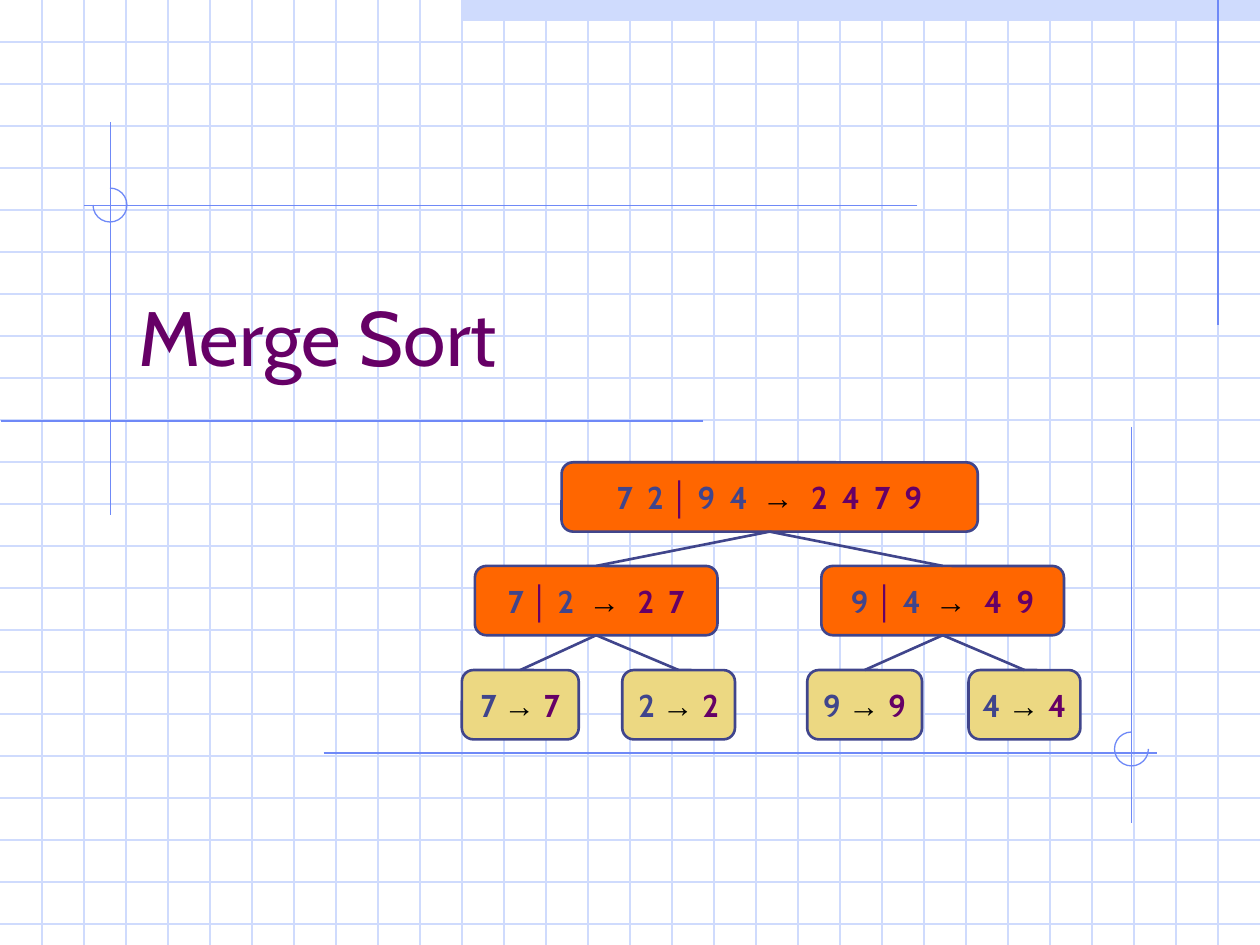
from lxml.etree import SubElement
from pptx import Presentation
from pptx.dml.color import RGBColor
from pptx.enum.shapes import MSO_CONNECTOR as CONN, MSO_SHAPE as SHAPE
from pptx.enum.text import MSO_ANCHOR as ANCHOR, PP_ALIGN as ALIGN
from pptx.oxml.ns import qn
from pptx.util import Pt

WIDTH, HEIGHT = 720, 540
GRID_STEP = 24
PALE, BLUE, SLATE = "CFDBFD", "6F89F7", "40458C"
PURPLE, ORANGE, SAND, BLACK = "660066", "FF6600", "ECD882", "000000"
NODE_HEIGHT = 39.6
LEVEL_TOPS = (264.2, 323.4, 382.9)

RULES = [
    (696, 0, 696, 186),
    (63.2, 70, 63.2, 294.5),
    (402, 240.5, 0.7, 240.5),
    (524.2, 117.4, 48, 117.4),
    (185, 430.3, 661, 430.3),
    (646.6, 244, 646.6, 470.3),
]
ARCS = [(53.2, 107.5, 270, 180), (636.9, 418.3, 0, 270)]
NODES = [
    (0, 320.9, 237.8, ORANGE, "7  2 │ 9  4  ", "→  ", "2  4  7  9"),
    (1, 271.4, 138.6, ORANGE, "7 │ 2  ", "→  ", "2  7"),
    (1, 469.4, 138.6, ORANGE, "9 │ 4  ", "→  ", "4  9"),
    (2, 263.9, 66.8, SAND, "7 ", "→ ", "7"),
    (2, 355.6, 64.4, SAND, "2 ", "→ ", "2"),
    (2, 461.3, 65.6, SAND, "9 ", "→ ", "9"),
    (2, 553.5, 63.9, SAND, "4 ", "→ ", "4"),
]


def rgb(value):
    """Return the colour for a hex string."""
    return RGBColor.from_string(value)


def set_format(obj, values):
    """Set each attribute named in a dict on an object."""
    for name, value in values.items():
        setattr(obj, name, value)


def set_line(line, color, width):
    """Give an outline its colour and width."""
    line.color.rgb = rgb(color)
    line.width = Pt(width)


def add_run(p, text, color, size, font="Cabin", bold=False):
    """Append a formatted run to a paragraph."""
    r = p.add_run()
    r.text = text
    set_format(r.font, {"name": font, "size": Pt(size), "bold": bold})
    r.font.color.rgb = rgb(color)


def add_line(slide, x1, y1, x2, y2, color, width=0.75):
    """Add a straight connector without a shadow."""
    line = slide.shapes.add_connector(CONN.STRAIGHT, Pt(x1), Pt(y1), Pt(x2), Pt(y2))
    set_line(line.line, color, width)
    SubElement(line._element.spPr, qn("a:effectLst"))
    return line


def add_shape(slide, kind, x, y, w, h, fill=None):
    """Add a preset shape without shadow or outline."""
    sp = slide.shapes.add_shape(kind, Pt(x), Pt(y), Pt(w), Pt(h))
    sp.shadow.inherit = False
    sp.line.fill.background()
    if fill:
        sp.fill.solid()
        sp.fill.fore_color.rgb = rgb(fill)
    else:
        sp.fill.background()
    return sp


def add_grid(slide):
    """Draw the squared paper and the band at its top."""
    add_shape(slide, SHAPE.RECTANGLE, 264, 0, 456, 12, PALE)
    for y in range(GRID_STEP, HEIGHT, GRID_STEP):
        add_line(slide, 0, y, WIDTH, y, PALE)
    for x in range(GRID_STEP, WIDTH, GRID_STEP):
        add_line(slide, x, 0, x, HEIGHT, PALE)


def add_arc(slide, x, y, start, end):
    """Add a three-quarter circle between two angles in degrees."""
    sp = add_shape(slide, SHAPE.ARC, x, y, 19.4, 19.4)
    for i, angle in enumerate((start, end)):
        sp.adjustments[i] = angle * 0.6
    set_line(sp.line, BLUE, 0.75)


def add_title(slide, text):
    """Add the slide title."""
    tf = slide.shapes.add_textbox(Pt(72), Pt(132), Pt(612), Pt(90)).text_frame
    set_format(tf, {"word_wrap": True, "vertical_anchor": ANCHOR.BOTTOM})
    add_run(tf.paragraphs[0], text, PURPLE, 44)


def add_node(slide, level, x, w, fill, unsorted, arrow, ordered):
    """Add a tree node showing a sequence and its sorted result."""
    sp = add_shape(slide, SHAPE.ROUNDED_RECTANGLE, x, LEVEL_TOPS[level], w, NODE_HEIGHT, fill)
    set_line(sp.line, SLATE, 1.5)
    tf = sp.text_frame
    set_format(tf, {"word_wrap": False, "vertical_anchor": ANCHOR.MIDDLE})
    p = tf.paragraphs[0]
    p.alignment = ALIGN.CENTER
    left, bar, right = unsorted.partition("│")
    runs = [(left, SLATE, "Cabin"), (bar, PURPLE, "Arial"), (right, SLATE, "Cabin"),
            (arrow, BLACK, "Arial"), (ordered, PURPLE, "Cabin")]
    for text, color, font in runs:
        if text:
            add_run(p, text, color, 18, font, True)
    return sp


def add_edge(slide, parent, child):
    """Join the bottom of a parent node to the top of its child."""
    line = add_line(slide, 0, 0, 0, 0, SLATE, 1.5)
    line.begin_connect(parent, 2)
    line.end_connect(child, 0)


def main():
    """Build the slide and save it."""
    prs = Presentation()
    set_format(prs, {"slide_width": Pt(WIDTH), "slide_height": Pt(HEIGHT)})
    slide = prs.slides.add_slide(prs.slide_layouts[6])
    add_grid(slide)
    for rule in RULES:
        add_line(slide, *rule, BLUE)
    for arc in ARCS:
        add_arc(slide, *arc)
    add_title(slide, "Merge Sort")
    nodes = [add_node(slide, *node) for node in NODES]
    for i, child in enumerate(nodes[1:]):
        add_edge(slide, nodes[i // 2], child)
    prs.save("out.pptx")


if __name__ == "__main__":
    main()
